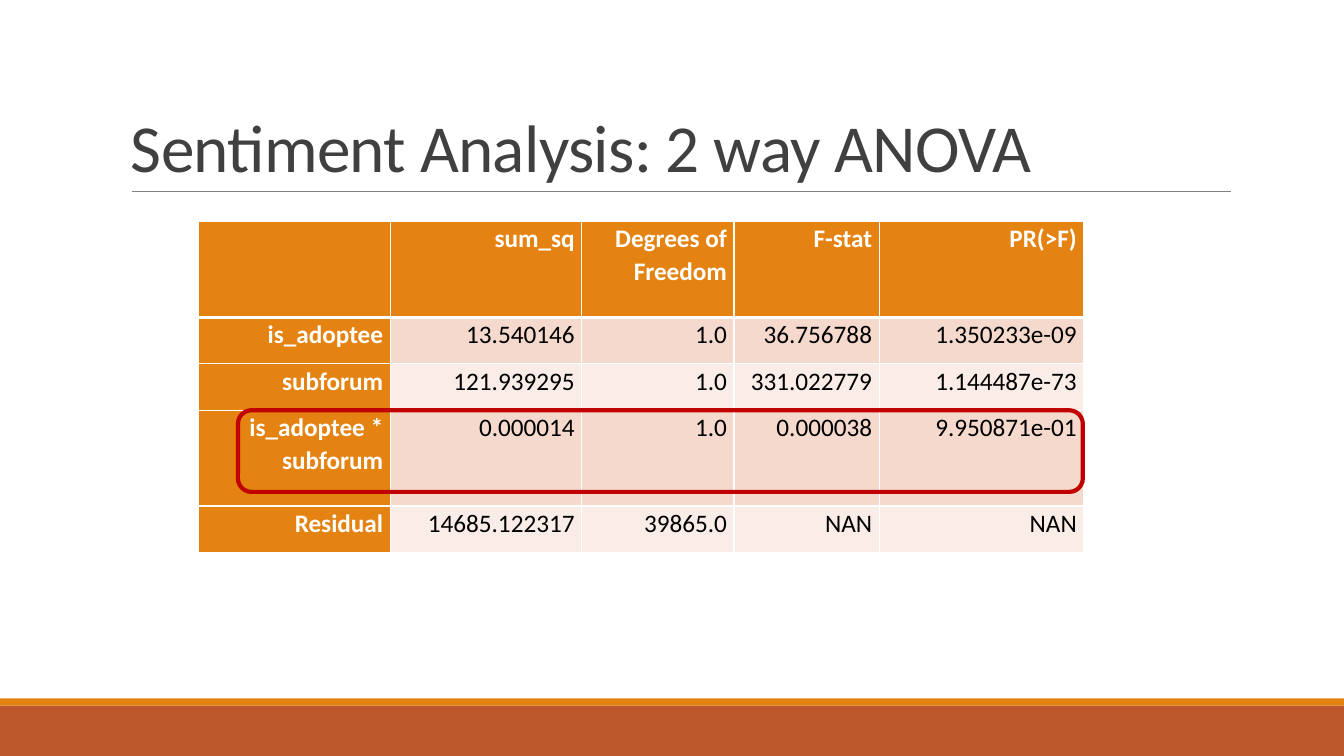
from lxml.etree import SubElement
from pptx import Presentation
from pptx.dml.color import RGBColor
from pptx.enum.shapes import MSO_CONNECTOR, MSO_SHAPE
from pptx.enum.text import MSO_ANCHOR, PP_ALIGN
from pptx.oxml import parse_xml
from pptx.oxml.ns import nsdecls, qn
from pptx.util import Inches, Pt

# Content
TITLE = "Sentiment Analysis: 2 way ANOVA"
ROWS = [
    ("", "sum_sq", "Degrees of Freedom", "F-stat", "PR(>F)"),
    ("is_adoptee", "13.540146", "1.0", "36.756788", "1.350233e-09"),
    ("subforum", "121.939295", "1.0", "331.022779", "1.144487e-73"),
    ("is_adoptee * subforum", "0.000014", "1.0", "0.000038", "9.950871e-01"),
    ("Residual", "14685.122317", "39865.0", "NAN", "NAN"),
]
COL_WIDTHS = (1.9, 1.9, 1.51, 1.44, 2.03)
ROW_HEIGHTS = (0.95, 0.46, 0.46, 0.95, 0.46)

# Look
ORANGE, RUST, RED, GREY, WHITE = "E48312", "BD582C", "C00000", "808080", "FFFFFF"
BANDS = ("FAEDE7", "F5D9CC")
TITLE_FONT = {"name": "Calibri", "size": Pt(48)}
HEAD_FONT = {"name": "Calibri", "size": Pt(18), "bold": True}
BODY_FONT = {**HEAD_FONT, "bold": False}
CELL_FORMAT = {"margin_left": Inches(0.07), "margin_right": Inches(0.07),
               "margin_top": 0, "margin_bottom": 0}


def rgb(value):
    return RGBColor.from_string(value)


def paint(fill, color):
    fill.solid()
    fill.fore_color.rgb = rgb(color)


def set_attrs(obj, values):
    for name, value in values.items():
        setattr(obj, name, value)


def write(p, text, font, color):
    r = p.add_run()
    r.text = text
    set_attrs(r.font, font)
    r.font.color.rgb = rgb(color)
    return r


def add_shape(kind, *box):
    sp = s.shapes.add_shape(kind, *map(Inches, box))
    sp.shadow.inherit = False
    return sp


def add_borders(cell, bottom):
    widths = {"lnL": 1, "lnR": 1, "lnT": 1, "lnB": bottom}
    for i, (side, width) in enumerate(widths.items()):
        cell._tc.get_or_add_tcPr().insert(i, parse_xml(
            f'<a:{side} {nsdecls("a")} w="{Pt(width)}"><a:solidFill>'
            f'<a:srgbClr val="{WHITE}"/></a:solidFill></a:{side}>'))


prs = Presentation()
prs.slide_width, prs.slide_height = Inches(13.33), Inches(7.5)
s = prs.slides.add_slide(prs.slide_layouts[6])

# Footer bands
for top, height, color in ((7, 0.5, RUST), (6.93, 0.07, ORANGE)):
    band = add_shape(MSO_SHAPE.RECTANGLE, 0, top, 13.33, height)
    paint(band.fill, color)
    band.line.fill.background()

# Title and its rule
rule = s.shapes.add_connector(MSO_CONNECTOR.STRAIGHT,
                              *map(Inches, (1.31, 1.9, 12.21, 1.9)))
rule.line.color.rgb = rgb(GREY)
rule.line.width = Pt(0.5)
SubElement(rule._element.spPr, qn("a:effectLst"))

tf = s.shapes.add_textbox(*map(Inches, (1.2, 0.31, 11, 1.59))).text_frame
tf.word_wrap = True
tf.vertical_anchor = MSO_ANCHOR.BOTTOM
p = tf.paragraphs[0]
p.line_spacing = 0.85
r = write(p, TITLE, TITLE_FONT, "404040")
r.font._element.set("spc", "-50")

# ANOVA table
table = s.shapes.add_table(
    len(ROWS), len(COL_WIDTHS), Inches(1.97), Inches(2.2),
    Inches(sum(COL_WIDTHS)), Inches(sum(ROW_HEIGHTS))).table
for col, width in zip(table.columns, COL_WIDTHS):
    col.width = Inches(width)
for i, (row, height) in enumerate(zip(ROWS, ROW_HEIGHTS)):
    table.rows[i].height = Inches(height)
    for j, text in enumerate(row):
        cell = table.cell(i, j)
        head = i == 0 or j == 0
        set_attrs(cell, CELL_FORMAT)
        paint(cell.fill, ORANGE if head else BANDS[i % 2])
        add_borders(cell, 3 if i == 0 else 1)
        p = cell.text_frame.paragraphs[0]
        set_attrs(p, {"alignment": PP_ALIGN.RIGHT, "line_spacing": 1.07})
        if text:
            write(p, text, HEAD_FONT if head else BODY_FONT,
                  WHITE if head else "000000")

# Frame around the interaction row
frame = add_shape(MSO_SHAPE.ROUNDED_RECTANGLE, 2.36, 4.07, 8.38, 0.81)
frame.fill.background()
frame.line.color.rgb = rgb(RED)
frame.line.width = Pt(3)

prs.save("out.pptx")
